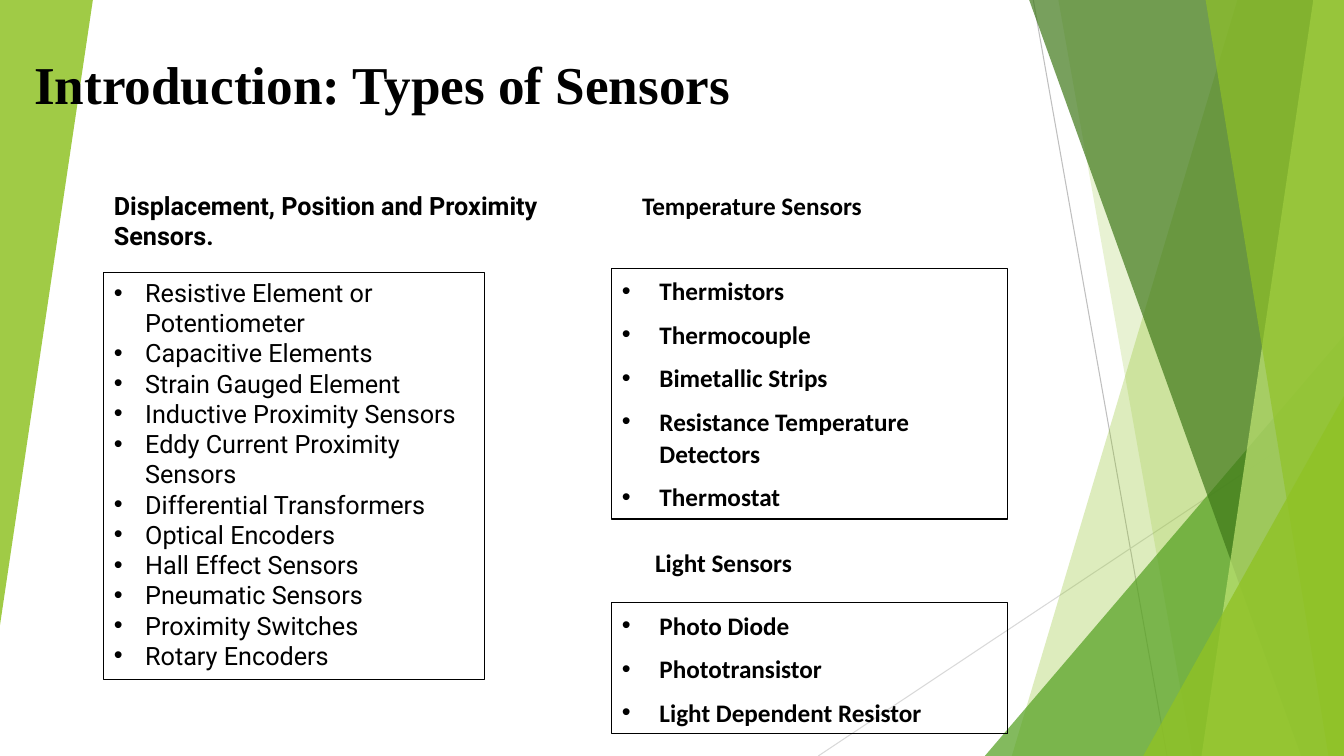
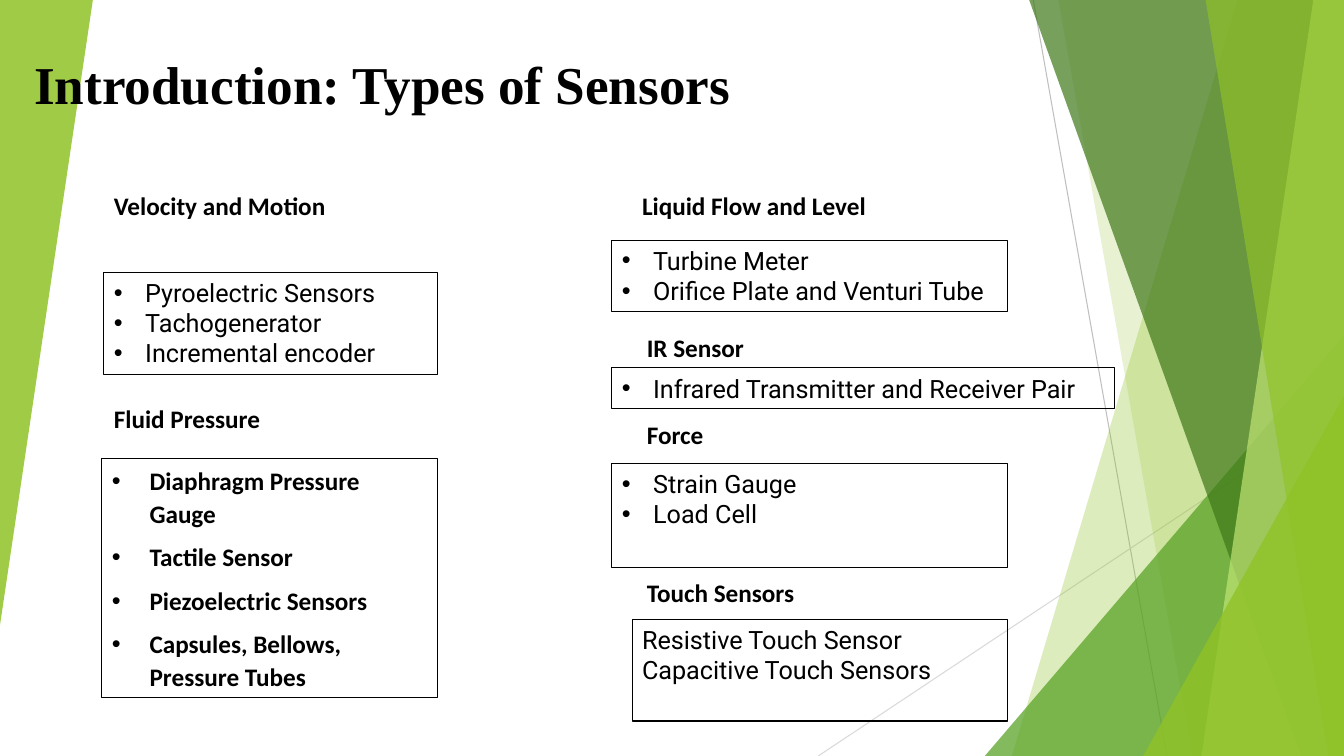
from lxml.etree import SubElement as Sub
from pptx import Presentation as Deck
from pptx.dml.color import RGBColor as Rgb
from pptx.enum.shapes import MSO_CONNECTOR as Link, MSO_SHAPE as Form
from pptx.enum.text import MSO_ANCHOR as Anchor, PP_ALIGN as Align
from pptx.oxml.ns import qn
from pptx.util import Cm, Pt

WIDE, HIGH = 33.87, 19.05
BLACK, LIME, GREEN, MOSS, PALE = "000000", "90C226", "54A021", "3F7819", "C0E474"
SERIF, SANS, BOLD = "Times New Roman", "Roboto", "Calibri"
LEFT, RIGHT = 2.62, 15.42
HEAD, SUB = 15.93, 16.05
TOP = 4.67


def paint(part, code):
    part.fore_color.rgb = Rgb.from_string(code)


def tint(shape, code, alpha):
    shape.shadow.inherit = False
    shape.fill.solid()
    paint(shape.fill, code)
    shape.line.fill.background()
    color = shape.fill._xPr.find(qn("a:solidFill"))[0]
    Sub(color, qn("a:alpha"), val=str(alpha * 1000))


def stroke(line, code):
    line.fill.solid()
    paint(line.fill, code)
    line.width = Pt(0.75)


def ray(slide, x1, y1, x2, y2, code):
    line = slide.shapes.add_connector(Link.STRAIGHT, Cm(x1), Cm(y1), Cm(x2), Cm(y2))
    stroke(line.line, code)
    Sub(line._element.spPr, qn("a:effectLst"))


def band(slide, top, base, code, alpha):
    pen = slide.shapes.build_freeform(Cm(top), Cm(-0.02))
    pen.add_line_segments([(Cm(WIDE), Cm(-0.02)), (Cm(WIDE), Cm(HIGH)), (Cm(base), Cm(HIGH))])
    tint(pen.convert_to_shape(), code, alpha)


def wedge(slide, x, y, w, h, code, alpha, turn=0):
    shape = slide.shapes.add_shape(Form.ISOSCELES_TRIANGLE, Cm(x), Cm(y), Cm(w), Cm(h))
    shape.adjustments[0] = 1
    shape.rotation = turn
    tint(shape, code, alpha)


def scene(slide):
    ray(slide, 26.04, 0, 29.41, HIGH, "BFBFBF")
    ray(slide, WIDE, 10.24, 20.62, HIGH, "D9D9D9")
    band(slide, 31.19, 25.5, LIME, 30)
    band(slide, 26.67, 30.05, LIME, 20)
    wedge(slide, 24.82, 8.46, 9.05, 10.59, GREEN, 72)
    band(slide, 25.93, 32.79, MOSS, 70)
    band(slide, 33.1, 30.28, PALE, 70)
    band(slide, 30.38, 33.48, LIME, 65)
    wedge(slide, 28.81, 9.98, 5.06, 9.07, LIME, 80)
    wedge(slide, 0, 0, 2.34, 15.75, LIME, 85, 180)


def write(para, text, font, size=18, bold=False):
    run = para.add_run()
    run.text = text
    run.font.name = font
    run.font.size = Pt(size)
    run.font.bold = bold
    paint_font(run.font)


def paint_font(font):
    font.fill.solid()
    paint(font.fill, BLACK)


def label(slide, x, y, w, h, text, font=BOLD, size=18, wrap=False):
    box = slide.shapes.add_textbox(Cm(x), Cm(y), Cm(w), Cm(h))
    box.text_frame.word_wrap = wrap
    write(box.text_frame.paragraphs[0], text, font, size, True)


def dot(para, gap):
    props = para._p.get_or_add_pPr()
    props.set("marL", str(Cm(gap)))
    props.set("indent", str(-Cm(gap)))
    Sub(props, qn("a:buFont"), typeface="Arial")
    Sub(props, qn("a:buChar"), char="•")


def panel(slide, x, y, w, h, items, bold=False, dots=True):
    box = slide.shapes.add_shape(Form.RECTANGLE, Cm(x), Cm(y), Cm(w), Cm(h))
    box.shadow.inherit = False
    box.fill.background()
    stroke(box.line, BLACK)
    frame = box.text_frame
    frame.word_wrap = True
    frame.vertical_anchor = Anchor.TOP
    for i, item in enumerate(items):
        para = frame.add_paragraph() if i else frame.paragraphs[0]
        para.alignment = Align.LEFT
        if dots:
            dot(para, 0.95 if bold else 0.79)
        if bold:
            para.line_spacing = 1.07
            para.space_after = Pt(8)
        write(para, item, BOLD if bold else SANS, bold=bold)


def start(deck):
    slide = deck.slides.add_slide(deck.slide_layouts[6])
    scene(slide)
    label(slide, 0.61, 1.17, 31.27, 3.5, "Introduction: Types of Sensors", SERIF, 38, True)
    return slide


def first(deck):
    slide = start(deck)
    label(slide, LEFT, TOP, 11.33, 2.57,
          "Displacement, Position and Proximity Sensors.", SANS, wrap=True)
    panel(slide, LEFT, 6.86, 9.58, 10.26, [
        "Resistive Element or Potentiometer", "Capacitive Elements",
        "Strain Gauged Element", "Inductive Proximity Sensors",
        "Eddy Current Proximity Sensors", "Differential Transformers",
        "Optical Encoders", "Hall Effect Sensors", "Pneumatic Sensors",
        "Proximity Switches", "Rotary Encoders"])
    label(slide, HEAD, TOP, 6.1, 1.02, "Temperature Sensors")
    panel(slide, RIGHT, 6.76, 9.98, 6.32, [
        "Thermistors", "Thermocouple", "Bimetallic Strips",
        "Resistance Temperature Detectors", "Thermostat"], bold=True)
    label(slide, 16.26, 13.67, 3.99, 1.02, "Light Sensors")
    panel(slide, RIGHT, 15.19, 9.98, 3.3, [
        "Photo Diode", "Phototransistor", "Light Dependent Resistor"], bold=True)


def second(deck):
    slide = start(deck)
    label(slide, LEFT, TOP, 11.33, 1.02, "Velocity and Motion", wrap=True)
    panel(slide, LEFT, 6.86, 8.41, 2.57, [
        "Pyroelectric Sensors", "Tachogenerator", "Incremental encoder"])
    label(slide, LEFT, 10.03, 4.22, 1.02, "Fluid Pressure")
    panel(slide, 2.57, 11.56, 8.46, 6.02, [
        "Diaphragm Pressure Gauge", "Tactile Sensor", "Piezoelectric Sensors",
        "Capsules, Bellows, Pressure Tubes"], bold=True)
    label(slide, HEAD, TOP, 6.2, 1.02, "Liquid Flow and Level")
    panel(slide, RIGHT, 6.05, 9.98, 1.8, ["Turbine Meter", "Orifice Plate and Venturi Tube"])
    label(slide, SUB, 8.26, 2.97, 1.02, "IR Sensor")
    panel(slide, RIGHT, 9.27, 12.67, 1.02, ["Infrared Transmitter and Receiver Pair"])
    label(slide, SUB, 10.44, 1.96, 1.02, "Force")
    panel(slide, RIGHT, 11.68, 9.98, 2.62, ["Strain Gauge", "Load Cell"])
    label(slide, SUB, 14.43, 4.24, 1.02, "Touch Sensors")
    panel(slide, HEAD, 15.6, 9.47, 2.57, [
        "Resistive Touch Sensor", "Capacitive Touch Sensors"], dots=False)


def main():
    deck = Deck()
    deck.slide_width, deck.slide_height = Cm(WIDE), Cm(HIGH)
    first(deck)
    second(deck)
    deck.save("out.pptx")


if __name__ == "__main__":
    main()
